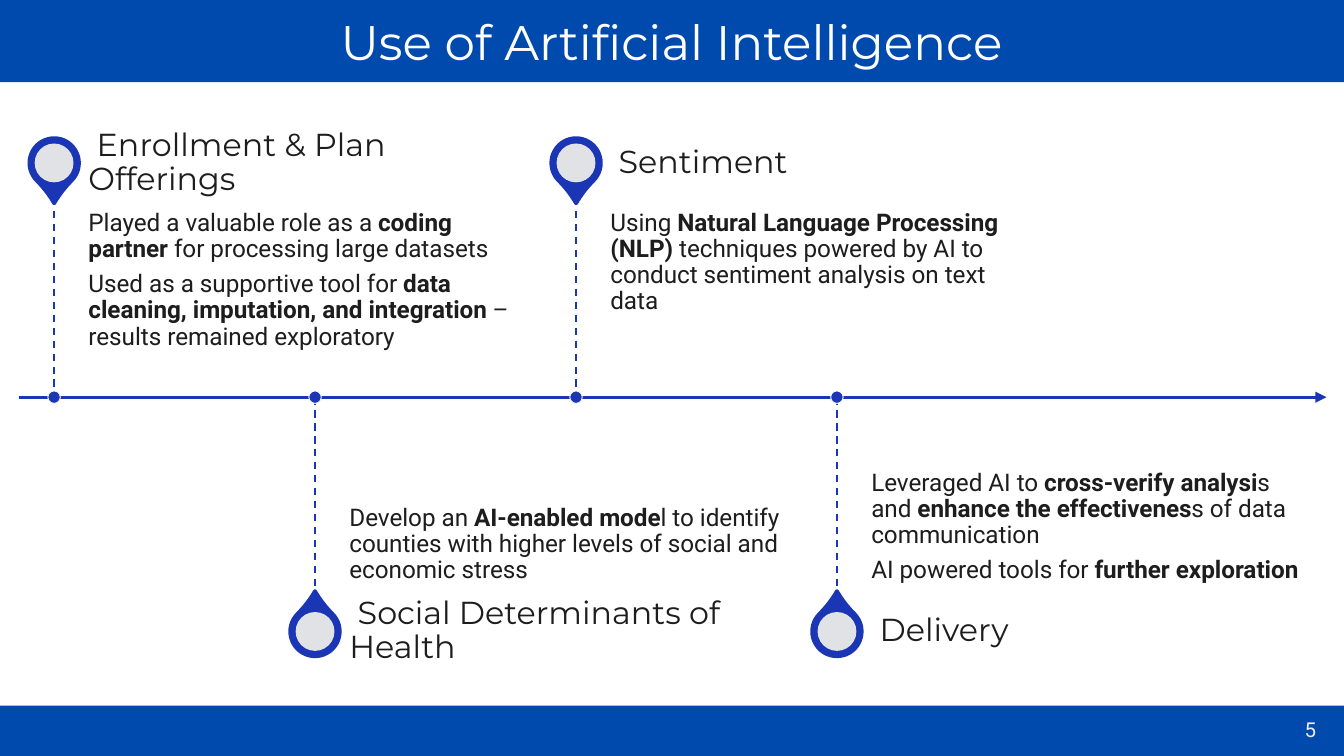
from lxml import etree
from pptx import Presentation
from pptx.dml.color import RGBColor
from pptx.enum.dml import MSO_LINE
from pptx.enum.shapes import MSO_CONNECTOR, MSO_SHAPE
from pptx.enum.text import MSO_ANCHOR, PP_ALIGN
from pptx.oxml.ns import qn
from pptx.util import Pt

RECT, OVAL, TEARDROP = MSO_SHAPE.RECTANGLE, MSO_SHAPE.OVAL, MSO_SHAPE.TEAR
STRAIGHT, DASH = MSO_CONNECTOR.STRAIGHT, MSO_LINE.DASH
TOP, MIDDLE, BOTTOM = MSO_ANCHOR.TOP, MSO_ANCHOR.MIDDLE, MSO_ANCHOR.BOTTOM
LEFT, CENTER = PP_ALIGN.LEFT, PP_ALIGN.CENTER

WIDTH, HEIGHT = 720, 405


def rgb(hex_code):
    return RGBColor.from_string(hex_code)


class TimelineSlide:
    BAND, BLUE, CREAM = "004AAD", "1A36B4", "F6F5EC"
    INK, WHITE, PALE = "1D1D1D", "FFFFFF", "ECECEC"
    HEADING, BODY = "Montserrat", "Roboto"

    def __init__(self, prs):
        self.slide = prs.slides.add_slide(prs.slide_layouts[6])

    def shape(self, kind, x, y, w, h, fill, line=None, weight=1, alpha=None):
        shape = self.slide.shapes.add_shape(kind, Pt(x), Pt(y), Pt(w), Pt(h))
        shape.shadow.inherit = False
        shape.fill.solid()
        shape.fill.fore_color.rgb = rgb(fill)
        if alpha:
            color = shape.fill._xPr.find(".//" + qn("a:srgbClr"))
            etree.SubElement(color, qn("a:alpha"), val=str(alpha * 1000))
        if line:
            shape.line.color.rgb = rgb(line)
            shape.line.width = Pt(weight)
        else:
            shape.line.fill.background()
        return shape

    def circle(self, x, y, size, fill, **style):
        return self.shape(OVAL, x - size / 2, y - size / 2, size, size, fill, **style)

    def line(self, x1, y1, x2, y2, weight, dash=None, arrow=False):
        line = self.slide.shapes.add_connector(STRAIGHT, Pt(x1), Pt(y1), Pt(x2), Pt(y2))
        line.line.color.rgb = rgb(self.BLUE)
        line.line.width = Pt(weight)
        if dash:
            line.line.dash_style = dash
        if arrow:
            etree.SubElement(line.line._get_or_add_ln(), qn("a:tailEnd"), type="triangle")
        etree.SubElement(line._element.spPr, qn("a:effectLst"))

    def text(self, x, y, w, h, paragraphs, size, font, color=INK,
             anchor=TOP, align=LEFT, insets=(0, 0, 0, 0)):
        """Each paragraph is a list of runs; every second run is bold."""
        frame = self.slide.shapes.add_textbox(Pt(x), Pt(y), Pt(w), Pt(h)).text_frame
        frame.word_wrap = True
        frame.vertical_anchor = anchor
        (frame.margin_left, frame.margin_top,
         frame.margin_right, frame.margin_bottom) = map(Pt, insets)
        for i, runs in enumerate(paragraphs):
            paragraph = frame.add_paragraph() if i else frame.paragraphs[0]
            paragraph.alignment = align
            paragraph.line_spacing = 0.9
            if i:
                paragraph.space_before = Pt(4.8)
            for j, words in enumerate(runs):
                run = paragraph.add_run()
                run.text = words
                run.font.size = Pt(size)
                run.font.name = font
                run.font.bold = j % 2 == 1
                run.font.color.rgb = rgb(color)

    def pin(self, x, y, rotation):
        size = 26.6
        drop = self.shape(TEARDROP, x - size / 2, y - size / 2, size, size,
                          self.BLUE, line=self.BLUE, weight=2)
        drop.adjustments[0] = 1.15
        drop.rotation = rotation
        self.circle(x, y, 20.8, self.CREAM, alpha=90)

    def milestone(self, x, axis_y, above, heading, details):
        card_x, card_w, heading_h, reach = x + 18.4, 233, 37.4, 106.7
        if above:
            end_y = axis_y - reach
            pin_y, heading_y, details_y = end_y - 18.8, end_y - heading_h, end_y
            rotation, anchor, insets = 135, TOP, (0, 6.5, 6.5, 10)
        else:
            end_y = axis_y + reach
            pin_y, heading_y, details_y = end_y + 18.8, end_y, axis_y
            rotation, anchor, insets = 315, BOTTOM, (0, 10, 0, 6.5)
        self.pin(x, pin_y, rotation)
        self.text(card_x, details_y, card_w, reach, details, 13, self.BODY,
                  anchor=anchor, insets=insets)
        self.text(card_x, heading_y, card_w, heading_h, [[" " + heading]], 17,
                  self.HEADING, anchor=MIDDLE, insets=(0, 0, 8.6, 0))
        self.line(x, min(axis_y, end_y), x, max(axis_y, end_y), 1, dash=DASH)
        self.circle(x, axis_y, 6.7, self.BLUE, line=self.CREAM, weight=0.5)


MILESTONES = [
    ("Enrollment & Plan Offerings", [
        ["Played a valuable role as a ", "coding partner",
         " for processing large datasets"],
        ["Used as a supportive tool for ",
         "data cleaning, imputation, and integration",
         " – results remained exploratory"]]),
    ("Social Determinants of Health", [
        ["Develop an ", "AI-enabled mode",
         "l to identify counties with higher levels of social and economic stress"]]),
    ("Sentiment", [
        ["Using ", "Natural Language Processing (NLP)",
         " techniques powered by AI to conduct sentiment analysis on text data"]]),
    ("Delivery", [
        ["Leveraged AI to ", "cross-verify analysi", "s and ",
         "enhance the effectivenes", "s of data communication"],
        ["AI powered tools for ", "further exploration"]]),
]


def main():
    prs = Presentation()
    prs.slide_width, prs.slide_height = Pt(WIDTH), Pt(HEIGHT)
    page = TimelineSlide(prs)

    # Footer band with page number
    page.shape(RECT, 0, 378, WIDTH, 27, page.BAND)
    page.text(684, 378.5, 36, 26.5, [["5"]], 11, page.BODY, page.PALE,
              anchor=MIDDLE, align=CENTER)

    # Timeline: milestones alternate above and below the axis
    axis_y, first_x, pitch = 212.8, 29, 139.8
    page.line(10, axis_y, 710.6, axis_y, 1.5, arrow=True)
    for i, (heading, details) in enumerate(MILESTONES):
        page.milestone(first_x + i * pitch, axis_y, i % 2 == 0, heading, details)

    # Title band
    page.shape(RECT, 0, 0, WIDTH, 44, page.BAND)
    page.text(49.7, 2, 620.6, 44, [["Use of Artificial Intelligence"]], 26,
              page.HEADING, page.WHITE, anchor=MIDDLE, align=CENTER,
              insets=(7.2, 7.2, 7.2, 7.2))

    prs.save("out.pptx")


if __name__ == "__main__":
    main()
